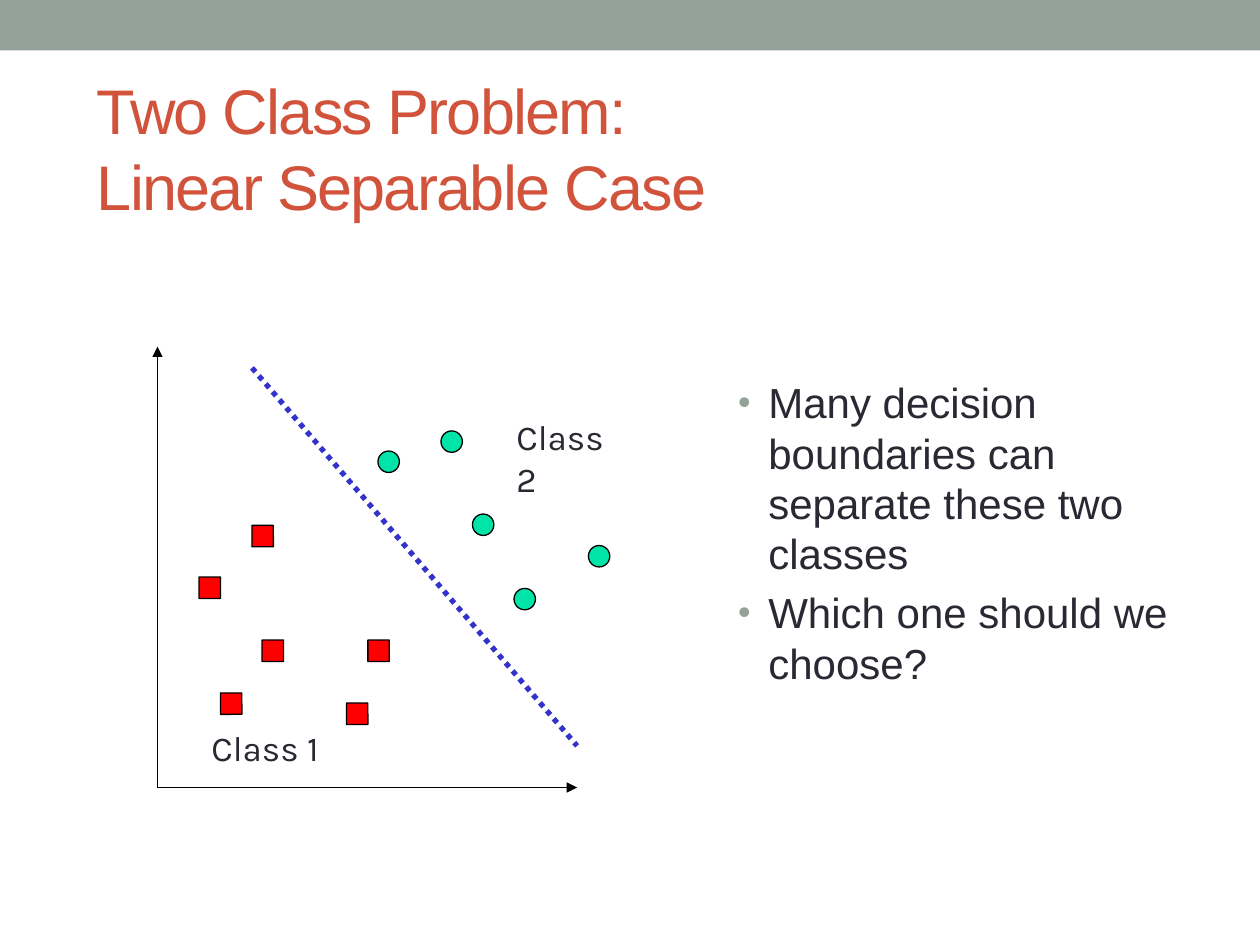
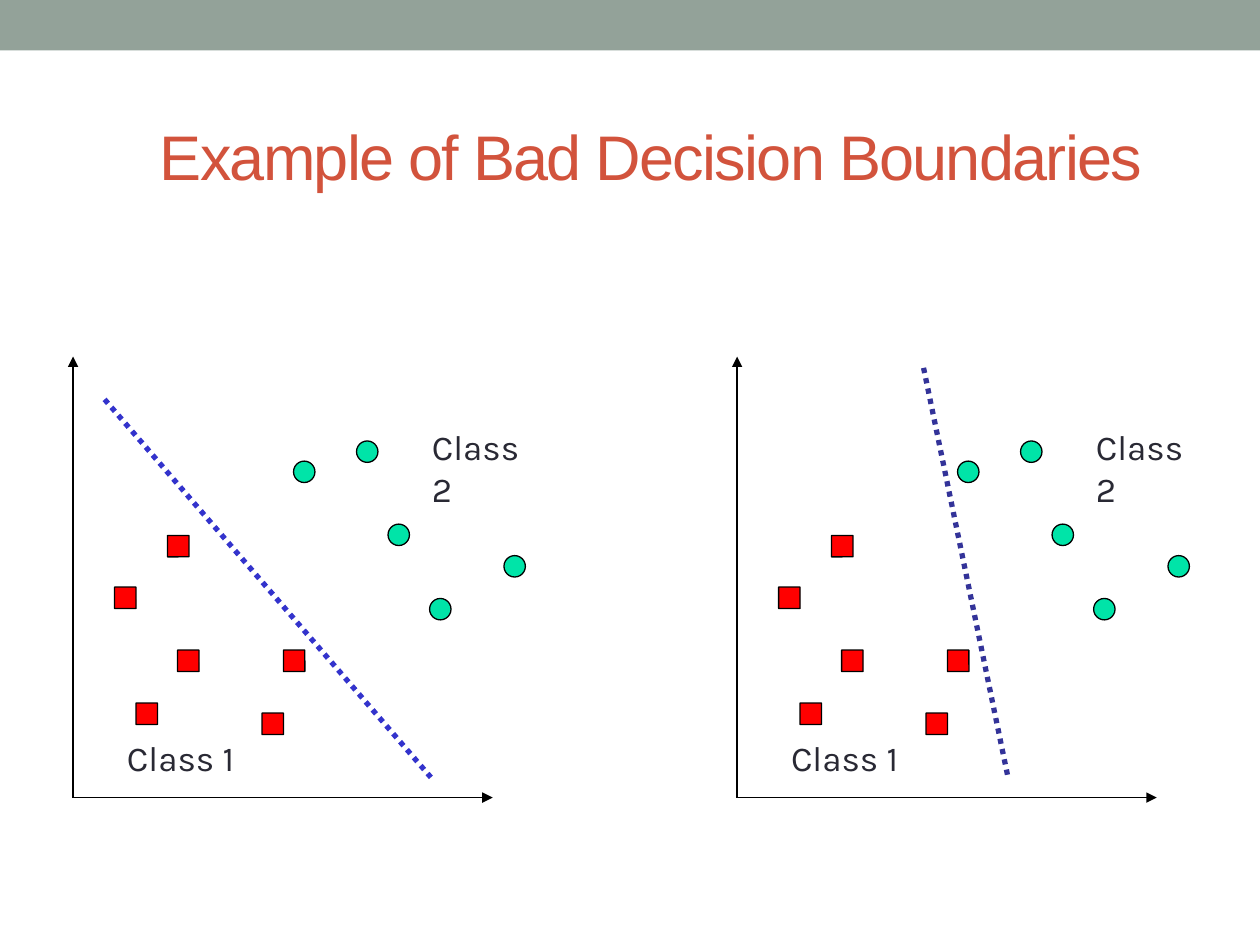
from dataclasses import dataclass

from lxml.etree import SubElement as Sub
from pptx import Presentation
from pptx.dml.color import RGBColor as Rgb
from pptx.enum.dml import MSO_LINE as Dash
from pptx.enum.shapes import MSO_CONNECTOR as Link, MSO_SHAPE as Kind
from pptx.enum.text import MSO_ANCHOR as Anchor
from pptx.oxml.ns import qn
from pptx.util import Inches, Pt


@dataclass(frozen=True)
class Theme:
    band: str = "93A299"
    title: str = "D2533C"
    text: str = "292934"
    ink: str = "000000"
    red: str = "FF0000"
    green: str = "00E4A8"
    blue: str = "3333CC"
    navy: str = "333399"
    sans: str = "Arial"
    hand: str = "Karla"
    head_size: int = 36
    body_size: int = 24
    tag_size: int = 20


T = Theme()
DOT = 0.17

# Plot parts, measured from the origin of the axes
AXES = [(0, -3.5), (3.33, 0)]
CIRCLES = [(2.25, -2.83), (2.5, -2.17), (3.42, -1.92), (1.75, -2.67), (2.83, -1.58)]
SQUARES = [(0.33, -1.67), (1.67, -1.17), (1.5, -0.67),
           (0.83, -1.17), (0.5, -0.75), (0.75, -2.08)]
TAGS = [("Class 1", 0.33, -0.53, False), ("Class 2", 2.75, -3, True)]


def apply(obj, form):
    for key, val in form.items():
        setattr(obj, key, val)


def add_text(slide, box, lines, font, size, color, wrap=True, anchor=Anchor.TOP):
    frame = slide.shapes.add_textbox(*map(Inches, box)).text_frame
    apply(frame, {"word_wrap": wrap, "vertical_anchor": anchor,
                  "text": "\n".join(lines)})
    for para in frame.paragraphs:
        for run in para.runs:
            apply(run.font, {"name": font, "size": Pt(size)})
            run.font.color.rgb = Rgb.from_string(color)
    return frame


def add_form(slide, kind, box, fill, edge=None):
    shape = slide.shapes.add_shape(kind, *map(Inches, box))
    shape.shadow.inherit = False
    shape.fill.solid()
    shape.fill.fore_color.rgb = Rgb.from_string(fill)
    if edge:
        shape.line.color.rgb = Rgb.from_string(edge)
        shape.line.width = Pt(0.75)
    else:
        shape.line.fill.background()
    return shape


def add_line(slide, start, end, color, width, dash=None, arrow=False):
    link = slide.shapes.add_connector(Link.STRAIGHT, *map(Inches, (*start, *end)))
    link.line.color.rgb = Rgb.from_string(color)
    apply(link.line, {"width": Pt(width), "dash_style": dash})
    if arrow:
        Sub(link.line._get_or_add_ln(), qn("a:tailEnd"), type="triangle")
    Sub(link._element.spPr, qn("a:effectLst"))


def add_list(slide, box, items):
    frame = add_text(slide, box, items, T.sans, T.body_size, T.text)
    for para in frame.paragraphs:
        para.space_before = Pt(0.2 * T.body_size)
        props = para._p.get_or_add_pPr()
        props.set("marL", str(Inches(0.24)))
        props.set("indent", str(Inches(-0.24)))
        Sub(Sub(props, qn("a:buClr")), qn("a:srgbClr"), val=T.band)
        Sub(props, qn("a:buSzPct"), val="85000")
        Sub(props, qn("a:buFont"), typeface=T.sans)
        Sub(props, qn("a:buChar"), char="•")


def add_page(deck, title, box):
    slide = deck.slides.add_slide(deck.slide_layouts[6])
    add_form(slide, Kind.RECTANGLE, (0, 0, 10, 0.4), T.band)
    frame = add_text(slide, box, [title], T.sans, T.head_size, T.title,
                     anchor=Anchor.BOTTOM)
    for run in frame.paragraphs[0].runs:
        run.font._element.set("spc", "-100")
    return slide


def add_plot(slide, left, base, start, end, color):
    def at(spot):
        return left + spot[0], base + spot[1]

    for tip in AXES:
        add_line(slide, (left, base), at(tip), T.ink, 1, arrow=True)
    for spot in CIRCLES:
        add_form(slide, Kind.OVAL, (*at(spot), DOT, DOT), T.green, T.ink)
    for spot in SQUARES:
        mark = add_form(slide, Kind.ROUNDED_RECTANGLE, (*at(spot), DOT, DOT),
                        T.red, T.ink)
        mark.adjustments[0] = 0.01
    for name, x, y, wrap in TAGS:
        add_text(slide, (*at((x, y)), 1.06, 0.43), [name], T.hand, T.tag_size,
                 T.text, wrap)
    # Decision boundary
    add_line(slide, at(start), at(end), color, 3, Dash.ROUND_DOT)


def main():
    deck = Presentation()
    apply(deck, {"slide_width": Inches(10), "slide_height": Inches(7.5)})

    # Separable classes
    slide = add_page(deck, "Two Class Problem: \vLinear Separable Case",
                     (0.67, 0.52, 8.78, 1.3))
    add_plot(slide, 1.25, 6.25, (0.75, -3.33), (3.33, -0.33), T.blue)
    add_list(slide, (5.76, 2.94, 3.83, 3.45),
             ["Many decision boundaries can separate these two classes",
              "Which one should we choose?"])

    # Bad boundaries
    slide = add_page(deck, "Example of Bad Decision Boundaries",
                     (1.17, 0.33, 8.5, 1.25))
    add_plot(slide, 0.58, 6.33, (0.25, -3.16), (2.84, -0.16), T.blue)
    add_plot(slide, 5.85, 6.33, (1.48, -3.41), (2.15, -0.16), T.navy)

    deck.save("out.pptx")


if __name__ == "__main__":
    main()
